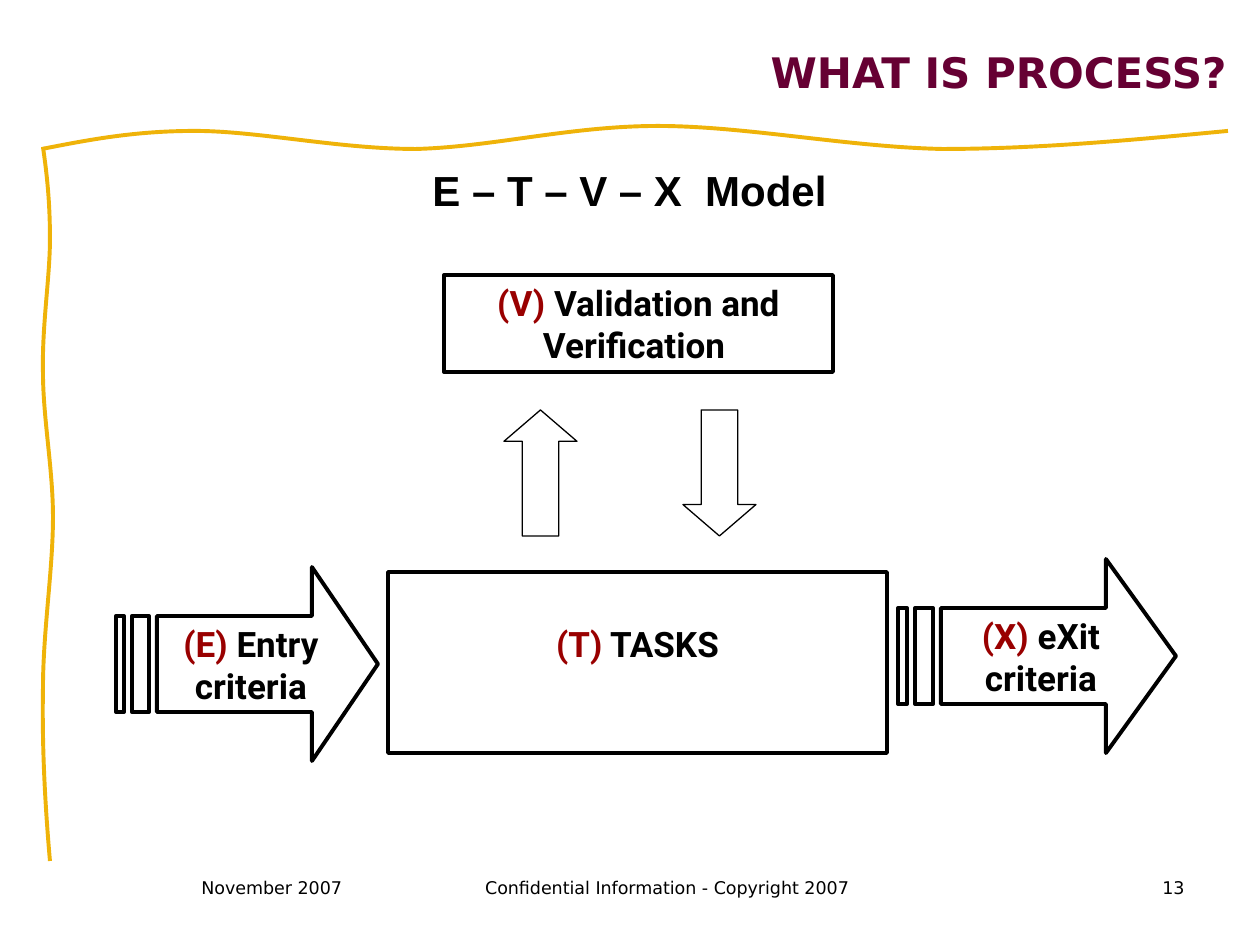
from dataclasses import dataclass

from lxml.etree import SubElement
from pptx import Presentation
from pptx.dml.color import RGBColor
from pptx.enum.shapes import MSO_SHAPE as Shape
from pptx.enum.text import MSO_ANCHOR as Anchor, PP_ALIGN as Align
from pptx.oxml.ns import qn
from pptx.util import Emu, Pt

SCALE = 914400 / 126


def px(n):
    return Emu(round(n * SCALE))


@dataclass(frozen=True)
class Theme:
    ink: str = "000000"
    key: str = "990000"
    title: str = "660033"
    gold: str = "EFB309"
    sans: str = "DejaVu Sans"
    body: str = "Roboto"
    head: str = "Arial"
    big: int = 24
    mid: int = 20
    small: int = 10
    thick: float = 2.25
    thin: float = 0.75


class Deck:
    """Holds the theme and the current slide."""

    def __init__(self, theme):
        self.theme = theme
        self.prs = Presentation()
        self.prs.slide_width, self.prs.slide_height = px(1260), px(945)
        self.slide = self.prs.slides.add_slide(self.prs.slide_layouts[5])
        self.shapes = self.slide.shapes

    def font(self, run, name, size, color, bold=True):
        font = run.font
        font.name, font.size, font.bold = name, Pt(size), bold
        font.color.rgb = RGBColor.from_string(color)

    def outline(self, shape, color, width):
        shape.shadow.inherit = False
        shape.fill.background()
        shape.line.color.rgb = RGBColor.from_string(color)
        shape.line.width = Pt(width)

    def title(self, text, x, y, w, h):
        box = self.shapes.title
        box.left, box.top, box.width, box.height = map(px, (x, y, w, h))
        frame = box.text_frame
        frame.text = text
        frame.vertical_anchor = Anchor.MIDDLE
        para = frame.paragraphs[0]
        para.alignment = Align.RIGHT
        self.font(para.runs[0], self.theme.sans, self.theme.big, self.theme.title)

    def text(self, text, x, y, w, h, name, size, align=Align.LEFT, bold=False, wrap=True):
        frame = self.shapes.add_textbox(*map(px, (x, y, w, h))).text_frame
        frame.text = text
        frame.word_wrap = wrap
        para = frame.paragraphs[0]
        para.alignment = align
        self.font(para.runs[0], name, size, self.theme.ink, bold)

    def label(self, shape, key, rest, left=13, right=13, base=6):
        """Write a coloured key letter and its meaning, with insets in px."""
        frame = shape.text_frame
        frame.word_wrap = True
        frame.vertical_anchor = Anchor.MIDDLE
        frame.margin_left, frame.margin_right = px(left), px(right)
        frame.margin_bottom = px(base)
        para = frame.paragraphs[0]
        para.text = key
        para.add_run().text = rest
        para.alignment = Align.CENTER
        for run, color in zip(para.runs, (self.theme.key, self.theme.ink)):
            self.font(run, self.theme.body, self.theme.mid, color)

    def block(self, kind, x, y, w, h, width):
        shape = self.shapes.add_shape(kind, *map(px, (x, y, w, h)))
        self.outline(shape, self.theme.ink, width)
        return shape

    def curve(self, points):
        """Draw Bezier curves: a start point, then three points for each part."""
        pen = self.shapes.build_freeform(*points[0], scale=SCALE)
        pen.add_line_segments(points[1:], close=False)
        shape = pen.convert_to_shape()
        lines = list(shape.element.iter(qn("a:lnTo")))
        for i in range(0, len(lines), 3):
            root = lines[i].getparent()
            bend = SubElement(root, qn("a:cubicBezTo"))
            for line in lines[i:i + 3]:
                bend.append(line[0])
                root.remove(line)
        self.outline(shape, self.theme.gold, self.theme.thick)

    def arrow(self, x, y, w, h):
        """Draw a right arrow with two stripes at its tail."""
        def at(col, row):
            return x + w * col / 32, y + h * row / 4

        body = [at(5, 1), at(24, 1), at(24, 0), at(32, 2),
                at(24, 4), at(24, 3), at(5, 3)]
        bars = [[at(a, 1), at(b, 1), at(b, 3), at(a, 3)]
                for a, b in ((0, 1), (2, 4))]
        pen = self.shapes.build_freeform(*body[0], scale=SCALE)
        pen.add_line_segments(body[1:])
        for bar in bars:
            pen.move_to(*bar[0])
            pen.add_line_segments(bar[1:])
        shape = pen.convert_to_shape()
        self.outline(shape, self.theme.ink, self.theme.thick)
        return shape


def main():
    theme = Theme()
    deck = Deck(theme)

    deck.curve([(42, 149), (88, 140), (134, 131), (195, 131),
                (258, 131), (339, 149), (416, 149),
                (493, 147), (570, 126), (658, 126),
                (745, 126), (848, 147), (942, 149),
                (1038, 149), (1133, 140), (1228, 131)])
    deck.curve([(43, 147), (47, 174), (50, 202), (50, 239),
                (50, 277), (42, 325), (43, 372),
                (43, 418), (53, 469), (53, 517),
                (53, 570), (43, 631), (43, 689),
                (42, 746), (45, 804), (50, 861)])

    for key, rest, place in (("(X)", " eXit criteria", (898, 559, 278, 194)),
                             ("(E)", " Entry criteria", (116, 567, 262, 194))):
        deck.label(deck.arrow(*place), key, rest, left=55, right=47)

    check = deck.block(Shape.RECTANGLE, 444, 275, 389, 97, theme.thick)
    deck.label(check, "(V)", " Validation and Verification ")
    tasks = deck.block(Shape.RECTANGLE, 388, 572, 499, 181, theme.thick)
    deck.label(tasks, "(T)", " TASKS", base=44)

    deck.title("WHAT IS PROCESS?", 168, 18, 1071, 108)
    for kind, x in ((Shape.UP_ARROW, 504), (Shape.DOWN_ARROW, 683)):
        flow = deck.block(kind, x, 410, 73, 126, theme.thin)
        flow.adjustments[0], flow.adjustments[1] = 0.5, 0.43

    deck.text("E – T – V – X  Model", 420, 158, 420, 63, theme.head, theme.big,
              bold=True, wrap=False)
    for words, x, w, align in (
            ("Confidential Information - Copyright 2007", 462, 410, Align.CENTER),
            ("13", 935, 262, Align.RIGHT),
            ("November 2007", 189, 168, Align.LEFT)):
        deck.text(words, x, 871, w, 63, theme.sans, theme.small, align)

    deck.prs.save("out.pptx")


if __name__ == "__main__":
    main()
